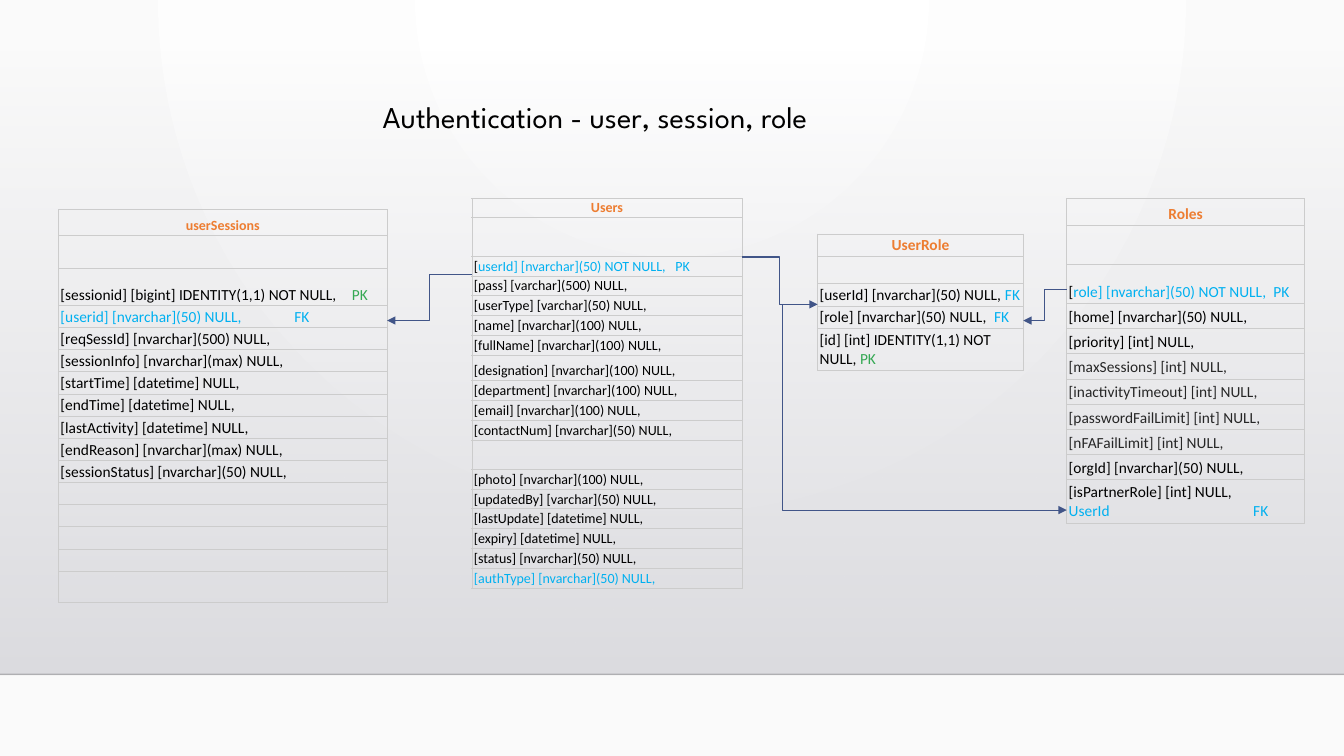
from lxml import etree
from pptx import Presentation
from pptx.dml.color import RGBColor
from pptx.enum.shapes import MSO_CONNECTOR, MSO_SHAPE
from pptx.enum.text import MSO_ANCHOR, PP_ALIGN
from pptx.oxml.ns import qn
from pptx.util import Inches, Pt

ELBOW, STRAIGHT = MSO_CONNECTOR.ELBOW, MSO_CONNECTOR.STRAIGHT
RECTANGLE = MSO_SHAPE.RECTANGLE
BOTTOM = MSO_ANCHOR.BOTTOM
CENTER = PP_ALIGN.CENTER

COLORS = {
    "black": "000000",
    "dark": "262626",
    "orange": "ED7D31",
    "blue": "00B0F0",
    "green": "34A853",
    "border": "CCCCCC",
    "link": "415588",
    "floor": "000001",
    "white": "FFFFFF",
    "pale": "FAFAFA",
    "haze": "DCDCE0",
    "mist": "DEDEE2",
}


def color(name):
    return RGBColor.from_string(COLORS[name])


def add(parent, tag, **attributes):
    return etree.SubElement(parent, qn(tag), attributes)


deck = Presentation()
deck.slide_width, deck.slide_height = Inches(13.33), Inches(7.5)
page = deck.slides.add_slide(deck.slide_layouts[6])

backdrop = page.background.fill
backdrop.gradient()
for stop, name in zip(backdrop.gradient_stops, ("white", "pale")):
    stop.color.rgb = color(name)
gradient = page.background._cSld.find(".//" + qn("a:gradFill"))
gradient.remove(gradient.find(qn("a:lin")))
circle = add(gradient, "a:path")
circle.set("path", "circle")
add(circle, "a:fillToRect", l="43000", t="0", r="43000", b="100000")

wall = page.shapes.add_shape(RECTANGLE, Inches(0), Inches(0.51), Inches(13.33), Inches(6.18))
wall.shadow.inherit = False
wall.line.fill.background()
wall.fill.gradient()
wall.fill.gradient_angle = 270
for stop, name in zip(wall.fill.gradient_stops, ("haze", "mist")):
    stop.color.rgb = color(name)
add(wall._element.spPr.find(".//" + qn("a:srgbClr")), "a:alpha", val="1000")

floor = page.shapes.add_connector(STRAIGHT, Inches(0), Inches(6.69), Inches(13.33), Inches(6.69))
floor.line.color.rgb = color("floor")
floor.line.width = Pt(1)
add(floor._element.spPr.find(".//" + qn("a:srgbClr")), "a:alpha", val="20000")
add(floor._element.spPr, "a:effectLst")

title = page.shapes.add_textbox(Inches(2.49), Inches(0.99), Inches(6.08), Inches(0.35))
frame = title.text_frame
frame.word_wrap = True
frame.vertical_anchor = BOTTOM
frame.margin_left, frame.margin_bottom = Inches(0.84), Inches(0)
frame.text = "Authentication - user, session, role"
para = frame.paragraphs[0]
para.alignment = CENTER
para.line_spacing = 0.9
span = para.runs[0]
span.font.name, span.font.size = "League Spartan", Pt(21.6)
span.font.color.rgb = color("black")

ENTITIES = [
    {
        "name": "userSessions", "at": (0.58, 2.08, 3.26, 3.9), "sizes": (10, 11),
        "margins": (0.02, 0.01), "heights": {0: 0.25, 1: 0.33, 2: 0.37, 15: 0.31},
        "tabs": {2: 2.89, 3: 2.32},
        "fields": [
            "",
            [("[sessionid] [bigint] IDENTITY(1,1) NOT NULL,\t", "black"), ("PK", "green")],
            [("[userid] [nvarchar](50) NULL,\tFK", "blue")],
            "[reqSessId] [nvarchar](500) NULL,",
            "[sessionInfo] [nvarchar](max) NULL,",
            "[startTime] [datetime] NULL,",
            "[endTime] [datetime] NULL,",
            "[lastActivity] [datetime] NULL,",
            "[endReason] [nvarchar](max) NULL,",
            "[sessionStatus] [nvarchar](50) NULL,",
            "", "", "", "", "",
        ],
    },
    {
        "name": "Users", "at": (4.68, 1.97, 2.68, 3.87), "sizes": (10, 10),
        "margins": (0.02, 0.01), "heights": {0: 0.19, 1: 0.38, 7: 0.25, 11: 0.29},
        "tabs": {2: 2.0},
        "fields": [
            "",
            [("[", "black"), ("userId] [nvarchar](50) NOT NULL,\tPK", "blue")],
            "[pass] [varchar](500) NULL,",
            "[userType] [varchar](50) NULL,",
            "[name] [nvarchar](100) NULL,",
            "[fullName] [nvarchar](100) NULL,",
            "[designation] [nvarchar](100) NULL,",
            "[department] [nvarchar](100) NULL,",
            "[email] [nvarchar](100) NULL,",
            "[contactNum] [nvarchar](50) NULL,",
            "",
            "[photo] [nvarchar](100) NULL,",
            "[updatedBy] [varchar](50) NULL,",
            "[lastUpdate] [datetime] NULL,",
            "[expiry] [datetime] NULL,",
            "[status] [nvarchar](50) NULL,",
            [("[authType] [nvarchar](50) NULL,", "blue")],
        ],
    },
    {
        "name": "Roles", "at": (10.58, 1.97, 2.36, 3.22), "sizes": (11, 11),
        "margins": (0.02, 0.02), "heights": {0: 0.27, 1: 0.38, 2: 0.39, 10: 0.43},
        "tabs": {2: 2.03, 10: 1.83},
        "fields": [
            "",
            [("[", "black"), ("role] [nvarchar](50) NOT NULL,\tPK", "blue")],
            "[home] [nvarchar](50) NULL,",
            "[priority] [int] NULL,",
            [("[maxSessions] [int] NULL,", "dark")],
            [("[inactivityTimeout] [int] NULL,", "dark")],
            [("[passwordFailLimit] [int] NULL,", "dark")],
            [("[nFAFailLimit] [int] NULL,", "dark")],
            "[orgId] [nvarchar](50) NULL,",
            [("[isPartnerRole] [int] NULL,", "black"), ("\nUserId\tFK", "blue")],
        ],
    },
    {
        "name": "UserRole", "at": (8.11, 2.32, 2.04, 1.34), "sizes": (11, 11),
        "margins": (0.02, 0.02), "heights": {1: 0.27, 4: 0.41},
        "tabs": {3: 1.73},
        "fields": [
            "",
            [("[userId] [nvarchar](50) NULL, ", "black"), ("FK", "blue")],
            [("[role] [nvarchar](50) NULL,\t", "black"), ("FK", "blue")],
            [("[id] [int] IDENTITY(1,1) NOT NULL, ", "black"), ("PK", "green")],
        ],
    },
]

for entity in ENTITIES:
    rows = [[(entity["name"], "orange")]] + entity["fields"]
    heights = entity["heights"]
    total = entity["at"][3]
    even = (total - sum(heights.values())) / (len(rows) - len(heights))
    table = page.shapes.add_table(len(rows), 1, *map(Inches, entity["at"])).table
    table.first_row = table.horz_banding = False
    side, edge = map(Inches, entity["margins"])
    for index, content in enumerate(rows):
        table.rows[index].height = Inches(heights.get(index, even))
        cell = table.cell(index, 0)
        cell.vertical_anchor = BOTTOM
        cell.margin_left = cell.margin_right = side
        cell.margin_top = cell.margin_bottom = edge
        for tag in ("a:lnL", "a:lnR", "a:lnT", "a:lnB"):
            border = add(cell._tc.get_or_add_tcPr(), tag, w=str(Pt(0.6)))
            add(add(border, "a:solidFill"), "a:srgbClr", val=COLORS["border"])
        cell.fill.background()
        para = cell.text_frame.paragraphs[0]
        if not content:
            add(para._p, "a:endParaRPr", sz="800")
            continue
        spans = [(content, "black")] if isinstance(content, str) else content
        for text, name in spans:
            if text.startswith("\n"):
                para = cell.text_frame.add_paragraph()
            span = para.add_run()
            span.text = text.lstrip("\n")
            span.font.name = "Calibri"
            span.font.size = Pt(entity["sizes"][min(index, 1)])
            span.font.bold = index == 0
            span.font.color.rgb = color(name)
        if index == 0:
            para.alignment = CENTER
        if index in entity["tabs"]:
            stops = add(para._p.get_or_add_pPr(), "a:tabLst")
            add(stops, "a:tab", pos=str(Inches(entity["tabs"][index])), algn="l")

LINKS = [
    (7.36, 2.55, 8.11, 3.02, 50000),
    (7.79, 3.02, 10.58, 5.06, -1000),
    (4.68, 2.72, 3.84, 3.18, 50000),
    (10.58, 2.87, 10.15, 3.18, 50000),
]
for *ends, bend in LINKS:
    link = page.shapes.add_connector(ELBOW, *map(Inches, ends))
    link.line.color.rgb = color("link")
    link.line.width = Pt(0.75)
    add(link.line._get_or_add_ln(), "a:tailEnd", type="triangle")
    add(link._element.spPr, "a:effectLst")
    guides = link._element.spPr.find(".//" + qn("a:avLst"))
    add(guides, "a:gd", name="adj1", fmla=f"val {bend}")

deck.save("out.pptx")
